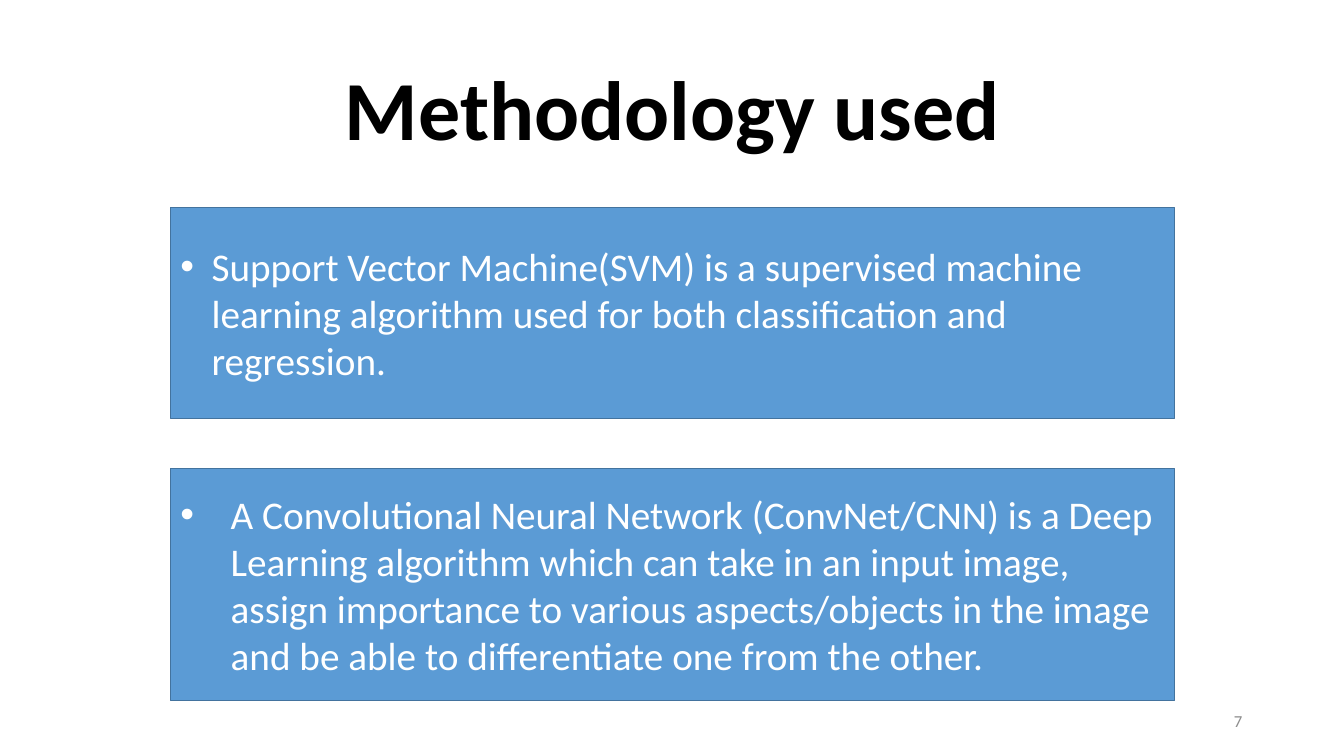
from dataclasses import dataclass

from lxml import etree
from pptx import Presentation
from pptx import util as u
from pptx.dml.color import RGBColor
from pptx.enum import shapes, text
from pptx.oxml import ns


@dataclass(frozen=True)
class Theme:
    font: str = "Calibri"
    ink: str = "000000"
    pale: str = "FFFFFF"
    gray: str = "8C8C8C"
    fill: str = "5B9BD5"
    edge: str = "43739E"
    title: int = 60
    body: int = 28
    small: int = 12


class Deck:
    """Places elements by percent of the slide's width and height."""

    def __init__(self, theme):
        self.theme = theme
        self.file = Presentation()
        self.file.slide_width = u.Inches(13.33)
        self.file.slide_height = u.Inches(7.5)
        self.slide = self.file.slides.add_slide(self.file.slide_layouts[6])

    def area(self, left, top, wide, high):
        across, down = self.file.slide_width, self.file.slide_height
        return [int(part * full / 100) for part, full in
                ((left, across), (top, down), (wide, across), (high, down))]

    def letter(self, shape, words, size, color, align, bold=False):
        """Fills a shape with one styled paragraph."""
        frame = shape.text_frame
        frame.word_wrap = True
        frame.vertical_anchor = text.MSO_ANCHOR.MIDDLE
        para = frame.paragraphs[0]
        para.text = words
        para.alignment = align
        para.font.name = self.theme.font
        para.font.size = u.Pt(size)
        para.font.bold = bold
        para.font.color.rgb = RGBColor.from_string(color)
        return para

    def label(self, words, area, size, color, align, bold=False):
        box = self.slide.shapes.add_textbox(*self.area(*area))
        return self.letter(box, words, size, color, align, bold)

    def panel(self, words, area, indent):
        """Adds a filled box with one bullet, its hanging indent in inches."""
        theme = self.theme
        box = self.slide.shapes.add_shape(
            shapes.MSO_SHAPE.RECTANGLE, *self.area(*area))
        box.shadow.inherit = False
        box.fill.solid()
        box.fill.fore_color.rgb = RGBColor.from_string(theme.fill)
        box.line.color.rgb = RGBColor.from_string(theme.edge)
        box.line.width = u.Pt(1)
        para = self.letter(box, words, theme.body, theme.pale,
                           text.PP_ALIGN.LEFT)
        self.bullet(para, u.Inches(indent))

    def bullet(self, para, hang):
        props = para._p.get_or_add_pPr()
        props.set("marL", str(hang))
        props.set("indent", str(-hang))
        font = etree.Element(ns.qn("a:buFont"), typeface="Arial")
        mark = etree.Element(ns.qn("a:buChar"), char="•")
        props.insert(0, font)
        props.insert(1, mark)


def main():
    theme = Theme()
    deck = Deck(theme)
    title = deck.label("Methodology used", (6.9, 5.33, 86.27, 19.33),
                       theme.title, theme.ink, text.PP_ALIGN.CENTER, True)
    title.line_spacing = 0.9
    deck.label("7", (70.67, 92.67, 22.5, 5.33),
               theme.small, theme.gray, text.PP_ALIGN.RIGHT)

    left, wide = 12.68, 74.72
    panels = (
        ("Support Vector Machine(SVM) is a supervised machine learning "
         "algorithm used for both classification and regression.",
         27.47, 27.87, 0.31),
        ("A Convolutional Neural Network (ConvNet/CNN) is a Deep Learning "
         "algorithm which can take in an input image, assign importance to "
         "various aspects/objects in the image and be able to differentiate "
         "one from the other.",
         62, 30.67, 0.5),
    )
    for words, top, high, indent in panels:
        deck.panel(words, (left, top, wide, high), indent)
    deck.file.save("out.pptx")


if __name__ == "__main__":
    main()
